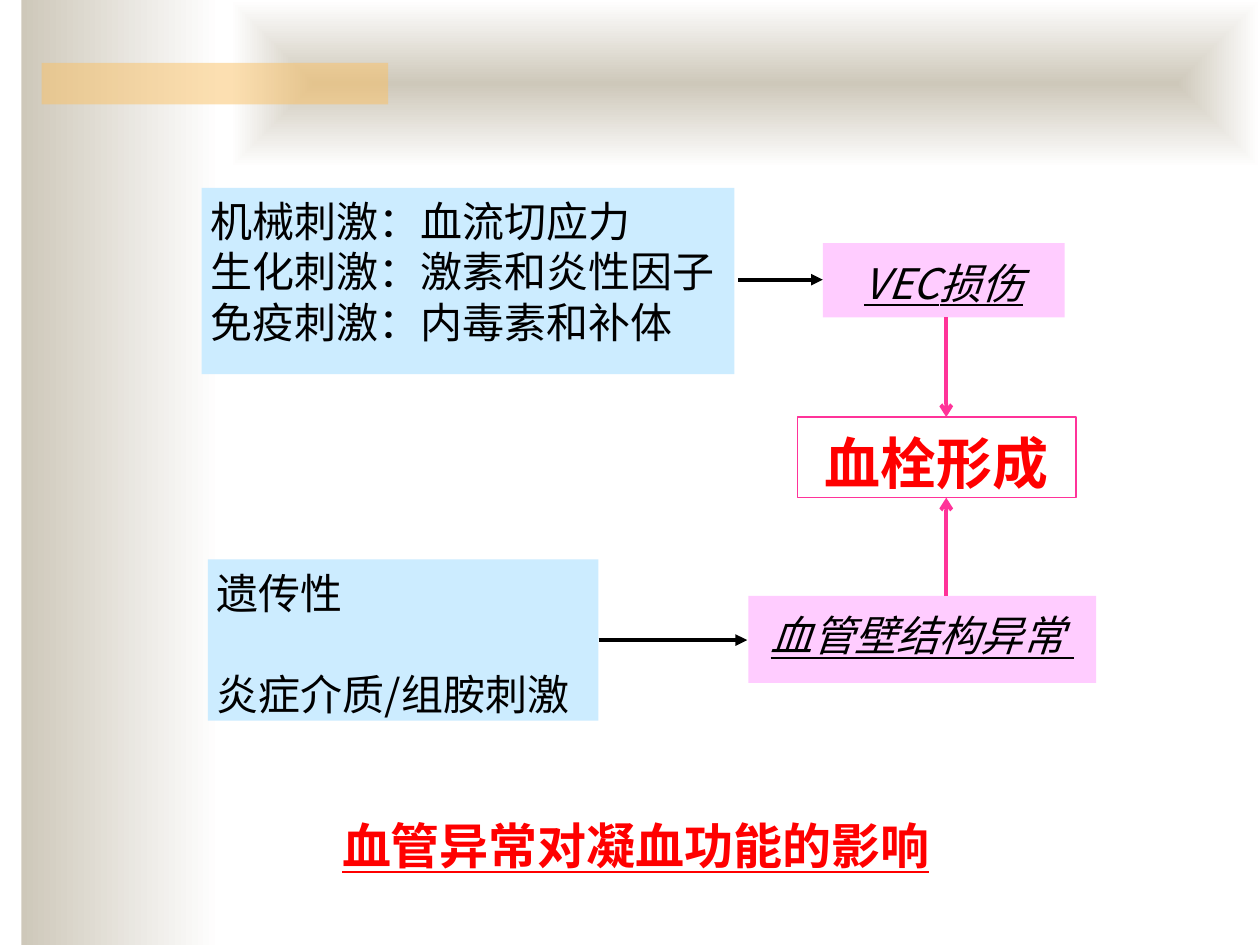
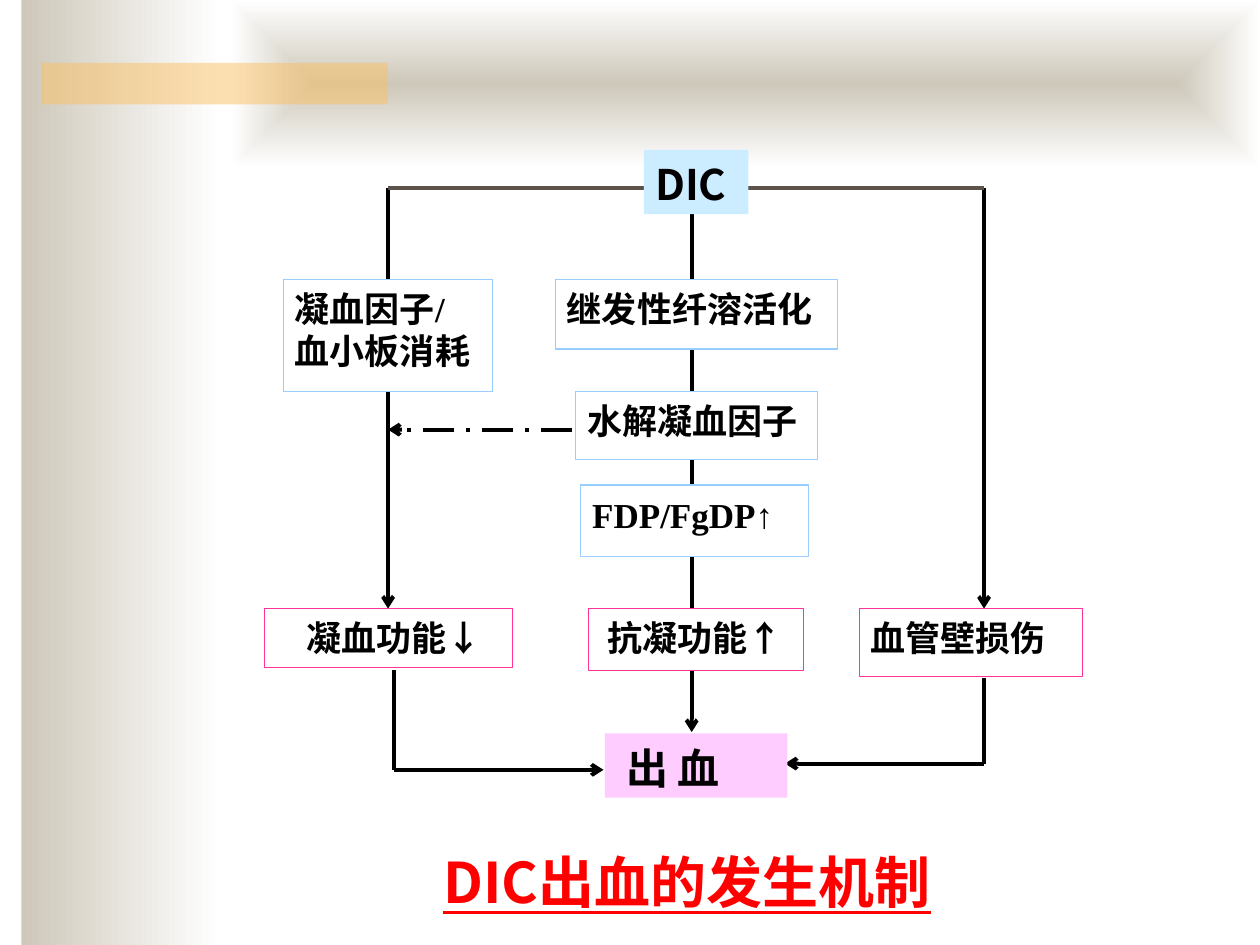
from lxml import etree
from pptx import Presentation
from pptx.dml.color import RGBColor as Rgb
from pptx.enum.dml import MSO_LINE as Dash
from pptx.enum.shapes import MSO_CONNECTOR as Link, MSO_SHAPE as Form
from pptx.enum.text import MSO_ANCHOR as Anchor, MSO_AUTO_SIZE as Auto, PP_ALIGN as Align
from pptx.oxml.ns import qn
from pptx.util import Inches, Pt

HUES = {"sand": "CEC8BA", "white": "FFFFFF", "gold": "FAC164", "red": "FF0000",
        "pink": "FFCCFF", "rose": "FF3399", "ice": "CCECFF", "sky": "99CCFF",
        "black": "000000", "umber": "5B5249"}
SERIF, SANS, ARIAL = "Times New Roman", "Noto Sans CJK SC", "Arial"
LEAD = 1.2
DROP = 0.09


def hue(name):
    """Return the colour of a given name."""
    return Rgb.from_string(HUES[name])


def sub(node, tag, **attrs):
    """Add a child element with the given attributes."""
    return etree.SubElement(node, qn(tag), attrs)


class Deck:
    """Hold the shared style and the current slide."""

    def __init__(self):
        """Open an empty deck."""
        self.prs = Presentation()
        self.prs.slide_width, self.prs.slide_height = Inches(10), Inches(7.5)
        self.page = None

    def add(self):
        """Start a new slide."""
        self.page = self.prs.slides.add_slide(self.prs.slide_layouts[5])

    def dress(self):
        """Move the bands of the current slide to the master."""
        side = self.rect((0.17, 0, 1.58, 7.5))
        top = self.rect((1.83, 0, 8.17, 1.33))
        bar = self.rect((0.33, 0.5, 2.75, 0.33), "gold")
        for band in (side, top):
            band.fill.gradient()
            band.fill.gradient_angle = 0
            for stop, name in zip(band.fill.gradient_stops, ("sand", "white")):
                stop.color.rgb = hue(name)
        grad = top.element.spPr.find(qn("a:gradFill"))
        grad.remove(grad.find(qn("a:lin")))
        focus = sub(grad, "a:path", path="rect")
        sub(focus, "a:fillToRect", l="50000", t="50000", r="50000", b="50000")
        tint = bar.element.spPr.find(qn("a:solidFill"))[0]
        sub(tint, "a:alpha", val="50000")
        for band in (side, top, bar):
            self.prs.slide_master.shapes.element.append(band.element)

    def rect(self, at, fill=None, edge=None, width=0.75):
        """Draw a plain rectangle."""
        form = self.page.shapes.add_shape(Form.RECTANGLE, *map(Inches, at))
        form.shadow.inherit = False
        if fill:
            form.fill.solid()
            form.fill.fore_color.rgb = hue(fill)
        else:
            form.fill.background()
        if edge:
            form.line.color.rgb = hue(edge)
            form.line.width = Pt(width)
        else:
            form.line.fill.background()
        return form

    def label(self, form, text, size, face, color="black", align=Align.LEFT,
              pad=(0.09, 0.04), gap=0, **style):
        """Fill a shape with text, one paragraph a line."""
        frame = form.text_frame
        left, top = pad
        right = left if align == Align.CENTER else 0
        look = {"word_wrap": True, "auto_size": Auto.NONE,
                "vertical_anchor": Anchor.TOP, "margin_left": Inches(left),
                "margin_right": Inches(right), "margin_bottom": 0,
                "margin_top": Inches(top) + Pt(size * DROP)}
        for key, value in look.items():
            setattr(frame, key, value)
        for row, line in enumerate(text.split("\n")):
            para = frame.add_paragraph() if row else frame.paragraphs[0]
            para.alignment, para.line_spacing = align, Pt(size * LEAD)
            para.space_before = Pt(gap if row else 0)
            run = para.add_run()
            run.text = line
            for key, value in {"size": Pt(size), "name": face, **style}.items():
                setattr(run.font, key, value)
            run.font.color.rgb = hue(color)
            sub(run._r.get_or_add_rPr(), "a:ea", typeface=SANS)

    def box(self, at, text, size=20, face=SERIF, fill=None, edge=None, width=0.75, **style):
        """Draw a rectangle with text."""
        self.label(self.rect(at, fill, edge, width), text, size, face, **style)

    def title(self, at, text, size, face, pad):
        """Place the slide title."""
        head = self.page.shapes.title
        head.left, head.top, head.width, head.height = map(Inches, at)
        self.label(head, text, size, face, "red", Align.CENTER, pad,
                   bold=True, underline=True)

    def line(self, x, y, to_x, to_y, color="black", tip=None, dash=None):
        """Draw a line, with an arrowhead at its end if asked."""
        link = self.page.shapes.add_connector(
            Link.STRAIGHT, *map(Inches, (x, y, to_x, to_y)))
        link.line.color.rgb = hue(color)
        link.line.width = Pt(2.25)
        if dash:
            link.line.dash_style = dash
        if tip:
            sub(link.get_or_add_ln(), "a:tailEnd", type=tip)
        sub(link.element.spPr, "a:effectLst")


def vessel(deck):
    """Build the slide on vessel faults."""
    deck.title((2.15, 6.41, 5.79, 0.64), "血管异常对凝血功能的影响", 28, SERIF, (0.07, 0.03))
    cause = {"size": 24, "fill": "ice", "pad": (0.07, 0.03)}
    harm = {"size": 24, "face": SANS, "fill": "pink", "pad": (0.08, 0.08),
            "align": Align.CENTER, "italic": True, "underline": True}
    deck.box((5.94, 4.73, 2.76, 0.69), "血管壁结构异常 ", **harm)
    deck.box((6.53, 1.93, 1.92, 0.59), "VEC损伤", **harm)
    deck.box((1.6, 1.49, 4.23, 1.48),
             "机械刺激：血流切应力\n生化刺激：激素和炎性因子\n免疫刺激：内毒素和补体",
             face=ARIAL, **cause)
    deck.box((1.65, 4.44, 3.1, 1.28), "遗传性\n炎症介质/组胺刺激", face=SANS, gap=29, **cause)
    deck.box((6.33, 3.31, 2.21, 0.64), "血栓形成", 32, edge="rose", width=1, color="red",
             align=Align.CENTER, pad=(0.1, 0.05), bold=True)
    for start, end in ((2.52, 3.31), (4.73, 3.95)):
        deck.line(7.51, start, 7.51, end, "rose", "arrow")
    for x, to_x, y in ((5.86, 6.53, 2.22), (4.75, 5.93, 5.08)):
        deck.line(x, y, to_x, y, tip="triangle")


def bleed(deck):
    """Build the slide on how DIC leads to bleeding."""
    deck.title((3.03, 6.65, 4.85, 0.61), "DIC出血的发生机制", 32, SANS, (0.08, 0.04))
    left, mid, right = 3.08, 5.49, 7.81
    for x, y, end in ((left, 1.49, 4.83), (mid, 1.68, 5.81), (right, 1.49, 4.83)):
        deck.line(x, y, x, end, tip="arrow")
    deck.line(left, 1.49, right, 1.49, "umber")
    deck.line(4.54, 3.41, left, 3.41, tip="arrow", dash=Dash.LONG_DASH_DOT)
    for x, y, to_x, to_y in ((3.13, 5.32, 4.79, 6.11), (right, 5.38, 6.23, 6.06)):
        deck.line(x, y, x, to_y)
        deck.line(x, to_y, to_x, to_y, tip="arrow")
    steps = (((2.25, 2.22, 1.66, 0.89), "凝血因子/\n血小板消耗"),
             ((4.41, 2.22, 2.24, 0.55), "继发性纤溶活化"),
             ((4.57, 3.11, 1.92, 0.54), "水解凝血因子"),
             ((4.61, 3.85, 1.81, 0.57), "FDP/FgDP↑"))
    for at, text in steps:
        deck.box(at, text, fill="white", edge="sky", bold=True)
    ends = (((2.1, 4.83, 1.97, 0.47), "凝血功能↓", 0.33),
            ((4.67, 4.83, 1.71, 0.49), "抗凝功能↑", 0.15),
            ((6.82, 4.83, 1.77, 0.54), "血管壁损伤", 0.09))
    for at, text, pad in ends:
        deck.box(at, text, fill="white", edge="rose", pad=(pad, 0.04), bold=True)
    for at, text, fill, pad in (((5.11, 1.19, 0.83, 0.51), "DIC", "ice", 0.09),
                                ((4.8, 5.82, 1.45, 0.51), "出 血", "pink", 0.17)):
        deck.box(at, text, 24, SANS, fill, pad=(pad, 0.04), bold=True)


def main():
    """Build and save the deck."""
    deck = Deck()
    deck.add()
    deck.dress()
    vessel(deck)
    deck.add()
    bleed(deck)
    deck.prs.save("out.pptx")


if __name__ == "__main__":
    main()
